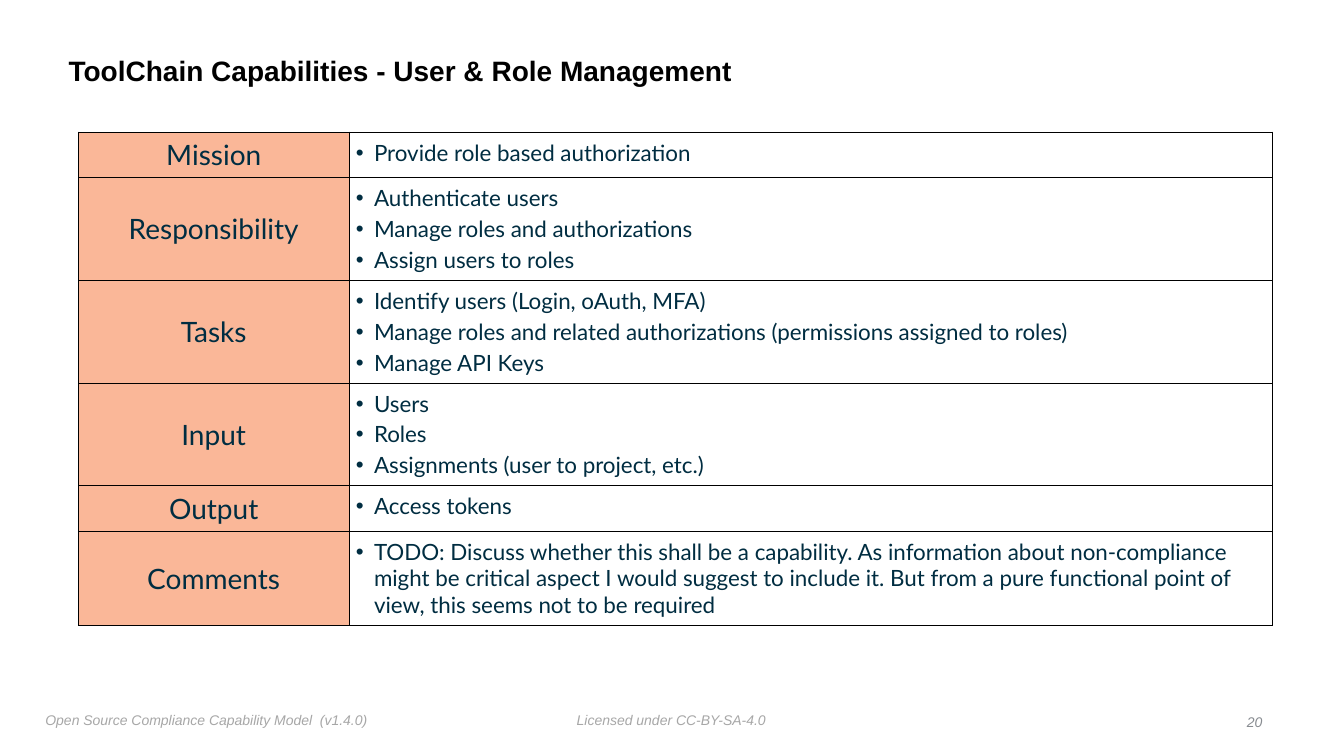
from lxml.etree import SubElement
from pptx import Presentation
from pptx.dml.color import RGBColor
from pptx.enum.text import MSO_ANCHOR, MSO_AUTO_SIZE, PP_ALIGN
from pptx.oxml.ns import qn
from pptx.util import Inches, Pt

COLORS = {
    "title": "000000",
    "border": "000000",
    "label_fill": "FAB798",
    "table_text": "002D41",
    "footer": "A7A7A7",
    "page_number": "888C91",
}

CAPABILITY = [
    ("Mission", 0.45, ["Provide role based authorization"]),
    ("Responsibility", 1.02, [
        "Authenticate users",
        "Manage roles and authorizations",
        "Assign users to roles",
    ]),
    ("Tasks", 1.02, [
        "Identify users (Login, oAuth, MFA)",
        "Manage roles and related authorizations (permissions assigned to roles)",
        "Manage API Keys",
    ]),
    ("Input", 1.02, ["Users", "Roles", "Assignments (user to project, etc.)"]),
    ("Output", 0.45, ["Access tokens"]),
    ("Comments", 0.93, [
        "TODO: Discuss whether this shall be a capability. As information about "
        "non-compliance might be critical aspect I would suggest to include it. "
        "But from a pure functional point of view, this seems not to be required",
    ]),
]
COLUMN_WIDTHS = [2.68, 9.16]

FOOTERS = [
    ("Licensed under CC-BY-SA-4.0", (5.67, 7.01, 1.99, 0.25), "footer", PP_ALIGN.LEFT),
    ("Open Source Compliance Capability Model\u00a0 (v1.4.0)".replace("\u00a0", " "),
     (0.4, 7.01, 3.32, 0.27), "footer", PP_ALIGN.LEFT),
    ("20", (12.3, 7.03, 0.27, 0.25), "page_number", PP_ALIGN.RIGHT),
]


def add_run(p, text, font, size, color, bold=False, italic=False):
    r = p.add_run()
    r.text = text
    r.font.name = font
    r.font.size = Pt(size)
    r.font.bold = bold
    r.font.italic = italic
    r.font.color.rgb = RGBColor.from_string(COLORS[color])


def set_margins(frame, inches):
    """Set equal margins on a text frame or a table cell."""
    frame.margin_left = frame.margin_right = Inches(inches)
    frame.margin_top = frame.margin_bottom = Inches(inches)


def set_title(slide, text):
    sp = slide.shapes.title
    sp.left, sp.top = Inches(0.63), Inches(0.39)
    sp.width, sp.height = Inches(10.75), Inches(0.65)
    tf = sp.text_frame
    set_margins(tf, 0.05)
    tf.vertical_anchor = MSO_ANCHOR.MIDDLE
    p = tf.paragraphs[0]
    p.alignment = PP_ALIGN.LEFT
    p.line_spacing = 0.9
    add_run(p, text, "Arial", 20, "title", bold=True)


def add_footer(slide, text, box, color, alignment):
    sp = slide.shapes.add_textbox(*map(Inches, box))
    tf = sp.text_frame
    set_margins(tf, 0.05)
    tf.word_wrap = False
    tf.auto_size = MSO_AUTO_SIZE.SHAPE_TO_FIT_TEXT
    p = tf.paragraphs[0]
    p.alignment = alignment
    add_run(p, text, "Arial", 10, color, italic=True)


def add_borders(cell):
    tc_pr = cell._tc.get_or_add_tcPr()
    for side in ("a:lnL", "a:lnR", "a:lnT", "a:lnB"):
        line = SubElement(tc_pr, qn(side), w=str(Pt(0.5)))
        fill = SubElement(line, qn("a:solidFill"))
        SubElement(fill, qn("a:srgbClr"), val=COLORS["border"])


def add_bullet(p):
    p_pr = p._p.get_or_add_pPr()
    p_pr.set("marL", str(Inches(0.18)))
    p_pr.set("indent", str(Inches(-0.18)))
    SubElement(p_pr, qn("a:buFont"), typeface="Arial")
    SubElement(p_pr, qn("a:buChar"), char="•")


def fill_label_cell(cell, label):
    add_borders(cell)
    cell.fill.solid()
    cell.fill.fore_color.rgb = RGBColor.from_string(COLORS["label_fill"])
    cell.vertical_anchor = MSO_ANCHOR.MIDDLE
    set_margins(cell, 0)
    p = cell.text_frame.paragraphs[0]
    p.alignment = PP_ALIGN.CENTER
    add_run(p, label, "Lato", 20, "table_text")


def fill_list_cell(cell, items):
    add_borders(cell)
    cell.fill.background()
    set_margins(cell, 0.07)
    tf = cell.text_frame
    for i, item in enumerate(items):
        p = tf.add_paragraph() if i else tf.paragraphs[0]
        add_bullet(p)
        if i:
            p.space_before = Pt(3)
        add_run(p, item, "Lato", 16, "table_text")


def add_capability_table(slide):
    height = sum(row_height for _, row_height, _ in CAPABILITY)
    table = slide.shapes.add_table(
        len(CAPABILITY), len(COLUMN_WIDTHS), Inches(0.78), Inches(1.31),
        Inches(sum(COLUMN_WIDTHS)), Inches(height)).table
    table.first_row = False
    table.horz_banding = False
    for column, width in zip(table.columns, COLUMN_WIDTHS):
        column.width = Inches(width)
    for row, (label, row_height, items) in zip(table.rows, CAPABILITY):
        row.height = Inches(row_height)
        fill_label_cell(row.cells[0], label)
        fill_list_cell(row.cells[1], items)


def main():
    prs = Presentation()
    prs.slide_width, prs.slide_height = Inches(13.33), Inches(7.5)
    slide = prs.slides.add_slide(prs.slide_layouts[5])
    set_title(slide, "ToolChain Capabilities - User & Role Management")
    add_capability_table(slide)
    for footer in FOOTERS:
        add_footer(slide, *footer)
    prs.save("out.pptx")


if __name__ == "__main__":
    main()
